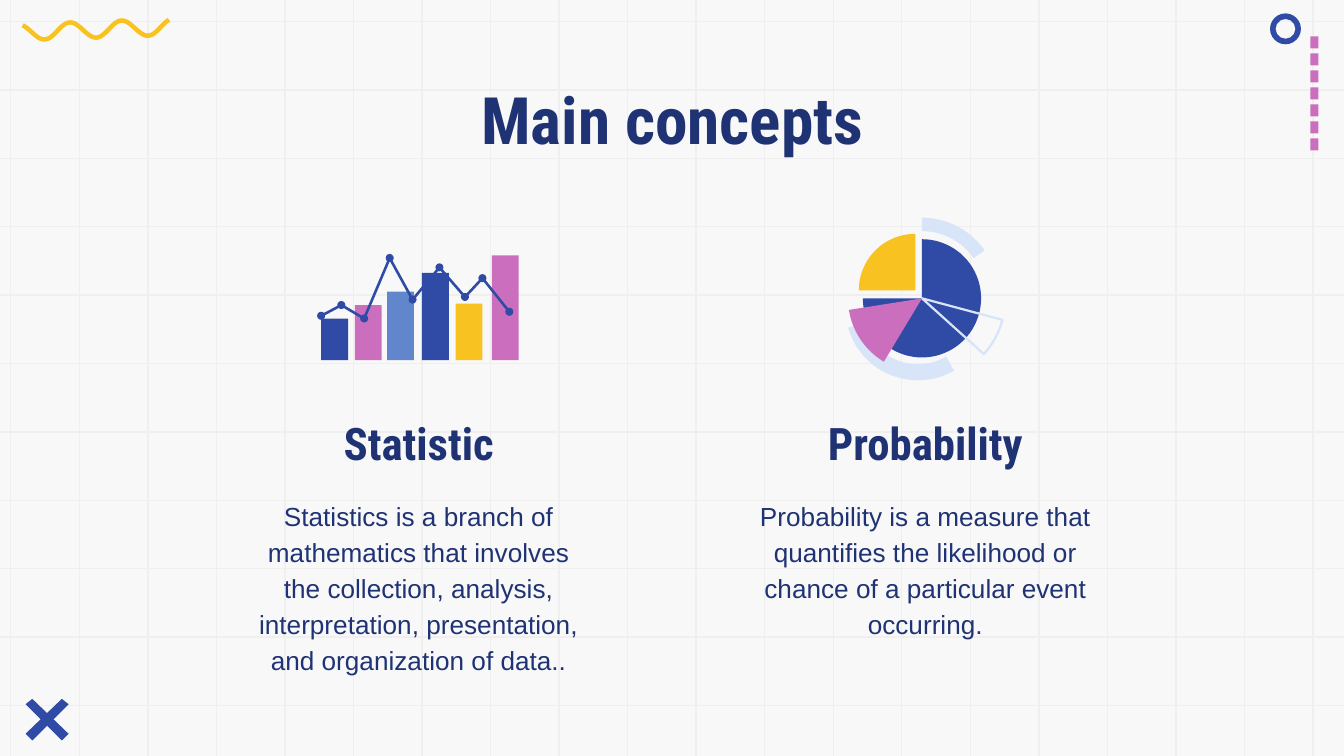
from math import cos, pi, radians, sin

from lxml import etree
from pptx import Presentation
from pptx.dml.color import RGBColor
from pptx.enum.shapes import MSO_CONNECTOR, MSO_SHAPE
from pptx.enum.text import MSO_ANCHOR, MSO_AUTO_SIZE, PP_ALIGN
from pptx.oxml.ns import qn
from pptx.util import Inches, Pt

STRAIGHT = MSO_CONNECTOR.STRAIGHT
RECTANGLE, OVAL, DONUT = MSO_SHAPE.RECTANGLE, MSO_SHAPE.OVAL, MSO_SHAPE.DONUT
TOP, BOTTOM = MSO_ANCHOR.TOP, MSO_ANCHOR.BOTTOM
CENTER, NO_AUTOFIT = PP_ALIGN.CENTER, MSO_AUTO_SIZE.NONE
HEADING_FONT, BODY_FONT = "Roboto Condensed", "Arial"
PAGE_WIDTH, PAGE_HEIGHT = 10, 10 * 9 / 16
COLORS = {
    "paper": "F8F8F8", "grid": "EFEFEF", "text": "1F3374", "blue": "304BA6",
    "sky": "6186CC", "pale": "D8E4F7", "pink": "CB6EBE", "yellow": "F8C220",
}

deck = Presentation()
deck.slide_width, deck.slide_height = Inches(PAGE_WIDTH), Inches(PAGE_HEIGHT)
page = deck.slides.add_slide(deck.slide_layouts.get_by_name("Comparison"))
page.background.fill.solid()
page.background.fill.fore_color.rgb = RGBColor.from_string(COLORS["paper"])
placeholders = list(page.placeholders)


def add_preset(kind, left, top, width, height, color):
    shape = page.shapes.add_shape(
        kind, Inches(left), Inches(top), Inches(width), Inches(height))
    shape.shadow.inherit = False
    shape.fill.solid()
    shape.fill.fore_color.rgb = RGBColor.from_string(COLORS[color])
    shape.line.fill.background()
    return shape


def add_path(points, color, stroke=None):
    """Draw a filled outline, or an open line when a stroke width is given."""
    corners = [(Inches(x), Inches(y)) for x, y in points]
    builder = page.shapes.build_freeform(*corners[0])
    builder.add_line_segments(corners[1:], close=stroke is None)
    shape = builder.convert_to_shape()
    shape.shadow.inherit = False
    painted, cleared = shape.fill, shape.line.fill
    if stroke:
        painted, cleared = cleared, painted
        shape.line.width = Pt(stroke)
    painted.solid()
    painted.fore_color.rgb = RGBColor.from_string(COLORS[color])
    cleared.background()
    return shape


# Background grid
rows = [0.16 + (5.25 - 0.16) * row / 10 for row in range(11)]
columns = [0.08 + (9.77 - 0.08) * column / 19 for column in range(20)]
grid = [(PAGE_WIDTH, y, 0, y) for y in rows] + [(x, 0, x, PAGE_HEIGHT) for x in columns]
for ends in grid:
    line = page.shapes.add_connector(STRAIGHT, *[Inches(value) for value in ends])
    line.line.color.rgb = RGBColor.from_string(COLORS["grid"])
    line.line.width = Pt(0.75)
    etree.SubElement(line._element.spPr, qn("a:effectLst"))

# Corner decorations
for dash in range(7):
    add_preset(RECTANGLE, 9.75, 0.27 + (1.03 - 0.27) * dash / 6, 0.06, 0.09, "pink")
cross_bar = [(0.24, 5.2), (0.19, 5.24), (0.46, 5.51), (0.51, 5.46)]
add_path(cross_bar, "blue")
add_path([(0.7 - x, y) for x, y in cross_bar], "blue")
wave_xs = [0.17 + 1.09 * step / 80 for step in range(81)]
wave = add_path([(x, 0.22 + 0.06 * cos(4 * pi * (x - 0.33) / 0.77)) for x in wave_xs],
                "yellow", 2.4)
wave.rotation = -2.1
ring = add_preset(DONUT, 9.45, 0.1, 0.23, 0.23, "blue")
ring.adjustments[0] = 0.18

# Title, subtitles and descriptions, in the order of the placeholders
texts = [
    ("Main concepts", 0.79, 0.49, 8.43, 0.63, 35, HEADING_FONT, TOP, 1),
    ("Statistic", 1.75, 3.1, 2.73, 0.49, 24, HEADING_FONT, BOTTOM, 1.15),
    ("Statistics is a branch of mathematics that involves the collection, analysis, "
     "interpretation, presentation, and organization of data..",
     1.75, 3.59, 2.73, 1.51, 14, BODY_FONT, TOP, 1.15),
    ("Probability", 5.52, 3.1, 2.73, 0.49, 24, HEADING_FONT, BOTTOM, 1.15),
    ("Probability is a measure that quantifies the likelihood or chance of a "
     "particular event occurring.",
     5.52, 3.59, 2.73, 1.11, 14, BODY_FONT, TOP, 1.15),
]
for box, (text, left, top, width, height, size, font, anchor, spacing) in zip(placeholders, texts):
    page.shapes._spTree.append(box._element)  # keep the text above the grid
    box.left, box.top = Inches(left), Inches(top)
    box.width, box.height = Inches(width), Inches(height)
    frame = box.text_frame
    frame.text = text
    frame.word_wrap = True
    frame.auto_size = NO_AUTOFIT
    frame.vertical_anchor = anchor
    frame.margin_left = frame.margin_right = Inches(0.1)
    frame.margin_top = frame.margin_bottom = Inches(0.1)
    para = frame.paragraphs[0]
    para.alignment = CENTER
    para.line_spacing = spacing
    para.space_before = Pt(0)
    properties = para._p.get_or_add_pPr()
    properties.set("marL", "0")
    properties.set("indent", "0")
    etree.SubElement(properties, qn("a:buNone"))
    span = para.runs[0]
    span.font.name = font
    span.font.size = Pt(size)
    span.font.bold = font == HEADING_FONT
    span.font.color.rgb = RGBColor.from_string(COLORS["text"])

# Bar icon with a trend line
bars = [(2.39, 2.37, "blue"), (2.64, 2.27, "pink"), (2.88, 2.17, "sky"),
        (3.14, 2.03, "blue"), (3.39, 2.26, "yellow"), (3.66, 1.9, "pink")]
for left, top, color in bars:
    add_preset(RECTANGLE, left, top, 0.2, 2.68 - top, color)
trend = [(2.39, 2.35), (2.54, 2.27), (2.71, 2.37), (2.9, 1.92), (3.07, 2.23),
         (3.27, 1.99), (3.46, 2.21), (3.59, 2.07), (3.79, 2.32)]
add_path(trend, "blue", 1.4)
for x, y in trend:
    add_preset(OVAL, x - 0.03, y - 0.03, 0.06, 0.06, "blue")

# Pie icon: center, inner and outer radius, clockwise angles from the top, stroke
sectors = [
    (6.83, 2.29, 0.42, 0.54, 150, 254, "pale", None),
    (6.81, 2.16, 0, 0.42, 270, 360, "yellow", None),
    (6.86, 2.22, 0, 0.44, 0, 270, "blue", None),
    (6.86, 2.22, 0, 0.62, 105, 132, "pale", 1.2),
    (6.86, 2.22, 0, 0.55, 211, 261, "pink", None),
    (6.86, 2.19, 0.47, 0.57, 0, 55, "pale", None),
]
for x, y, inner, outer, start, end, color, stroke in sectors:
    angles = [radians(start + (end - start) * step / 60) for step in range(61)]
    rim = [(x + outer * sin(angle), y - outer * cos(angle)) for angle in angles]
    hub = [(x, y)]
    if inner:
        hub = [(x + inner * sin(angle), y - inner * cos(angle)) for angle in reversed(angles)]
    add_path(hub + rim + hub[:1], color, stroke)

deck.save("out.pptx")
